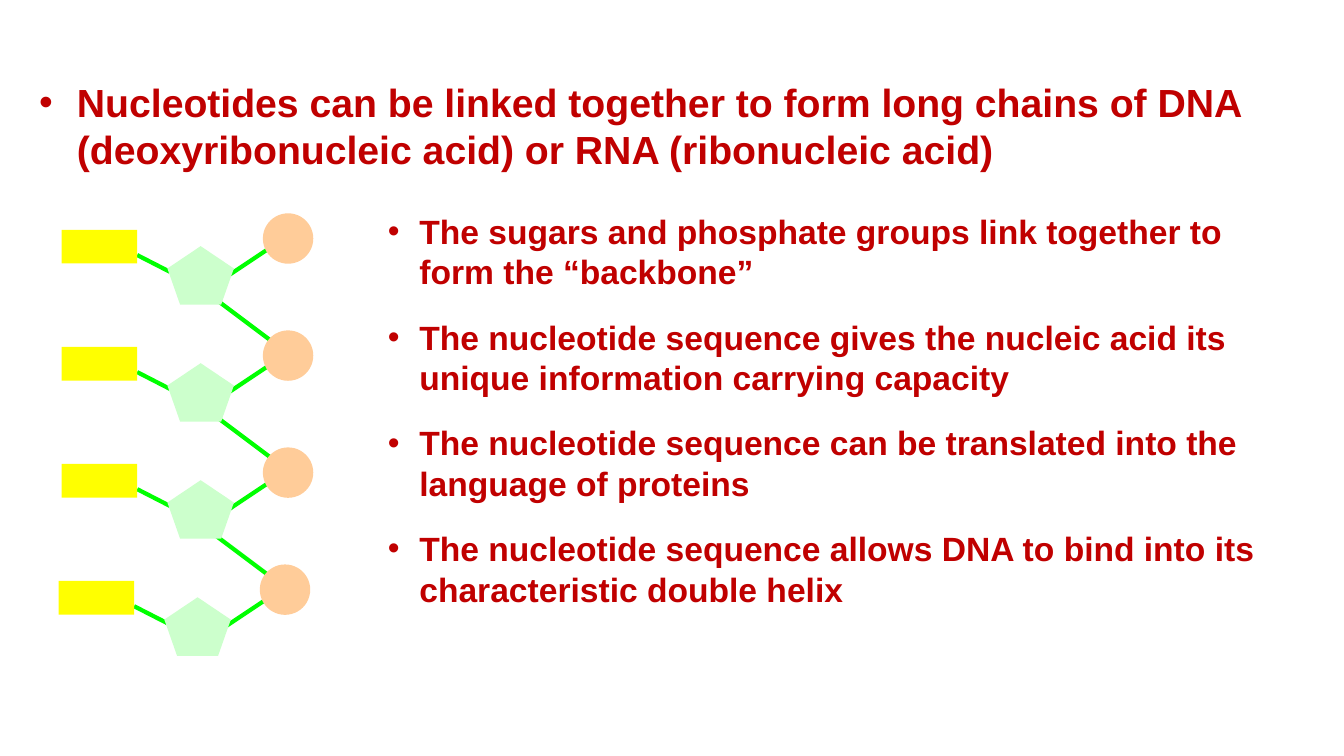
from lxml import etree
from pptx import Presentation
from pptx.dml.color import RGBColor
from pptx.enum import shapes
from pptx.oxml import ns
from pptx.util import Pt

HEADLINE = ["Nucleotides can be linked together to form long chains of DNA "
            "(deoxyribonucleic acid) or RNA (ribonucleic acid)"]
POINTS = [
    "The sugars and phosphate groups link together to form the “backbone”",
    "The nucleotide sequence gives the nucleic acid its unique information carrying capacity",
    "The nucleotide sequence can be translated into the language of proteins",
    "The nucleotide sequence allows DNA to bind into its characteristic double helix",
]
RED, GREEN = "C00000", "00FF00"
ROW_LEFTS = [44, 44, 44, 41.8]
FIRST_TOP, ROW_PITCH = 164.2, 83.6
BASE_LINK = (54, 18, 77.8, 30.2)
PHOSPHATE_LINK = (149.8, 12.2, 113.8, 36.2)
BACKBONE_LINK = (155.5, 0, 108, -35.6)
PARTS = [
    (shapes.MSO_SHAPE.OVAL, (143.8, -11.8, 36, 36), "FFCC99"),
    (shapes.MSO_SHAPE.RECTANGLE, (0, 0, 54, 24), "FFFF00"),
    (shapes.MSO_SHAPE.REGULAR_PENTAGON, (75.6, 11.6, 47.5, 41.8), "CCFFCC"),
]


def color(value):
    return RGBColor.from_string(value)


def add_bullets(page, items, left, top, width, height, size, indent, gap=0):
    box = page.shapes.add_textbox(Pt(left), Pt(top), Pt(width), Pt(height))
    frame = box.text_frame
    frame.word_wrap = True
    for index, item in enumerate(items):
        para = frame.paragraphs[0] if index == 0 else frame.add_paragraph()
        props = para._p.get_or_add_pPr()
        props.set("marL", str(Pt(indent)))
        props.set("indent", str(-Pt(indent)))
        tint = etree.SubElement(props, ns.qn("a:buClr"))
        etree.SubElement(tint, ns.qn("a:srgbClr"), val=RED)
        etree.SubElement(props, ns.qn("a:buFont"), typeface="Arial")
        etree.SubElement(props, ns.qn("a:buChar"), char="•")
        if index:
            para.space_before = Pt(gap)
        span = para.add_run()
        span.text = item
        span.font.name = "Arial"
        span.font.size = Pt(size)
        span.font.bold = True
        span.font.color.rgb = color(RED)


def add_link(strand, x, y, link):
    x1, y1, x2, y2 = link
    line = strand.shapes.add_connector(
        shapes.MSO_CONNECTOR.STRAIGHT, Pt(x + x1), Pt(y + y1), Pt(x + x2), Pt(y + y2))
    line.line.color.rgb = color(GREEN)
    line.line.width = Pt(3)
    etree.SubElement(line._element.spPr, ns.qn("a:effectLst"))


def add_part(strand, x, y, kind, place, fill):
    left, top, width, height = place
    part = strand.shapes.add_shape(kind, Pt(x + left), Pt(y + top), Pt(width), Pt(height))
    part.shadow.inherit = False
    part.fill.solid()
    part.fill.fore_color.rgb = color(fill)
    part.line.fill.background()


def main():
    deck = Presentation()
    deck.slide_width, deck.slide_height = Pt(960), Pt(540)
    page = deck.slides.add_slide(deck.slide_layouts[6])
    add_bullets(page, HEADLINE, 20.9, 52.6, 939, 75, size=28, indent=27)
    strand = page.shapes.add_group_shape()
    rows = [(x, FIRST_TOP + i * ROW_PITCH) for i, x in enumerate(ROW_LEFTS)]
    for i, (x, y) in enumerate(rows):
        links = [BASE_LINK, PHOSPHATE_LINK] + ([BACKBONE_LINK] if i else [])
        for link in links:
            add_link(strand, x, y, link)
    for x, y in rows:
        for kind, place, fill in PARTS:
            add_part(strand, x, y, kind, place, fill)
    add_bullets(page, POINTS, 270, 146.9, 669.6, 294.5, size=24, indent=22.5, gap=18)
    deck.save("out.pptx")


if __name__ == "__main__":
    main()
